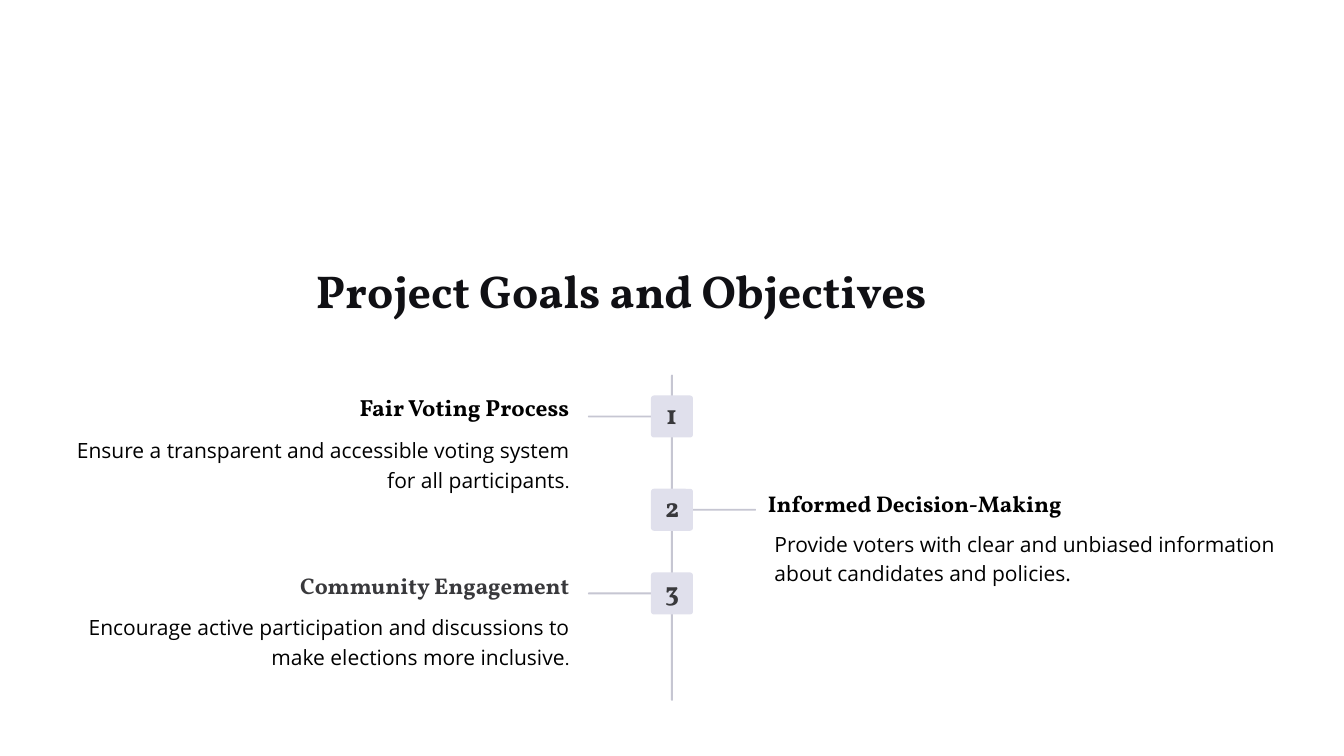
import pptx
import pptx.util
from pptx.dml.color import RGBColor
from pptx.enum.shapes import MSO_SHAPE
from pptx.enum.text import MSO_ANCHOR, PP_ALIGN
from pptx.util import Cm, Pt

TITLE = "Project Goals and Objectives"
# Lengths are in cm; a body is a list of (text, font, size) runs.
GOALS = [
    {"side": "left", "top": 11.96, "heading": "Fair Voting Process",
     "heading_top": 11.87, "size": 20, "color": "000000",
     "body": [("Ensure a transparent and accessible voting system for all participants",
               "Open Sans", 18), (".", "Calibri", 16)]},
    {"side": "right", "top": 14.78, "heading": "Informed Decision-Making",
     "heading_top": 14.78, "size": 19.5, "color": "000000",
     "body": [("Provide voters with clear and unbiased information about candidates "
               "and policies.", "Open Sans", 18)]},
    {"side": "left", "top": 17.31, "heading": "Community Engagement",
     "heading_top": 17.25, "size": 19.5, "color": "39393C",
     "body": [("Encourage active participation and discussions to make elections "
               "more inclusive", "Open Sans", 18), (".", "Calibri", 16)]},
]

SERIF = "Vollkorn"
LINE, BADGE_FILL, NUMBER_COLOR = "C6C6D2", "E0E0EC", "39393C"
CENTER = 20.32
BADGE, THICK, STEM = 1.27, 0.06, 1.98
STEM_LEFT = {"left": 17.78, "right": 20.88}
BODY_LEFT = {"left": 1.98, "right": 23.42}
BODY_WIDTH, BODY_HEIGHT, BODY_DROP = 15.24, 1.8, 1.14
HEADING_WIDTH, HEADING_HEIGHT = 9.4, 0.89
HEADING_LEFT = {"left": 17.22 - HEADING_WIDTH, "right": 23.22}

deck = pptx.Presentation()
deck.slide_width, deck.slide_height = Cm(40.64), Cm(22.86)
slide = deck.slides.add_slide(deck.slide_layouts[6])


def rgb(hex_color):
    return RGBColor.from_string(hex_color)


def add_block(left, top, width, height, fill, rounding=0.5):
    block = slide.shapes.add_shape(MSO_SHAPE.ROUNDED_RECTANGLE,
                                   Cm(left), Cm(top), Cm(width), Cm(height))
    block.adjustments[0] = rounding
    block.shadow.inherit = False
    block.fill.solid()
    block.fill.fore_color.rgb = rgb(fill)
    block.line.fill.background()


def add_text(box, runs, color, spacing, align=PP_ALIGN.LEFT, bold=False, wrap=False):
    """Write (text, font, size) runs as one paragraph in a box without margins."""
    frame = slide.shapes.add_textbox(*(Cm(length) for length in box)).text_frame
    frame.margin_left = frame.margin_right = frame.margin_top = frame.margin_bottom = 0
    frame.word_wrap = wrap
    frame.vertical_anchor = MSO_ANCHOR.TOP
    paragraph = frame.paragraphs[0]
    paragraph.alignment = align
    paragraph.line_spacing = Pt(spacing)
    for text, font, size in runs:
        run = paragraph.add_run()
        run.text = text
        run.font.name = font
        run.font.size = Pt(size)
        run.font.bold = bold
        run.font.color.rgb = rgb(color)


add_text((9.55, 7.87, 20.7, 0.53), [(TITLE, SERIF, 39.5)], "101014", 49.5, bold=True)
add_block(CENTER - THICK / 2, 11.33, THICK, 9.86, LINE)

for number, goal in enumerate(GOALS, 1):
    side, top = goal["side"], goal["top"]
    align = PP_ALIGN.RIGHT if side == "left" else PP_ALIGN.LEFT

    add_block(STEM_LEFT[side], top + (BADGE - THICK) / 2, STEM, THICK, LINE)
    add_block(CENTER - BADGE / 2, top, BADGE, BADGE, BADGE_FILL, 0.07)
    add_text((CENTER - 0.21, top + 0.21, 0.4, 0.84), [(str(number), SERIF, 23.5)],
             NUMBER_COLOR, 23.5, PP_ALIGN.CENTER, bold=True)
    add_text((HEADING_LEFT[side], goal["heading_top"], HEADING_WIDTH, HEADING_HEIGHT),
             [(goal["heading"], SERIF, goal["size"])],
             goal["color"], 24.5, align, bold=True)
    add_text((BODY_LEFT[side], top + BODY_DROP, BODY_WIDTH, BODY_HEIGHT),
             goal["body"], "000000", 25.5, align, wrap=True)

deck.save("out.pptx")
